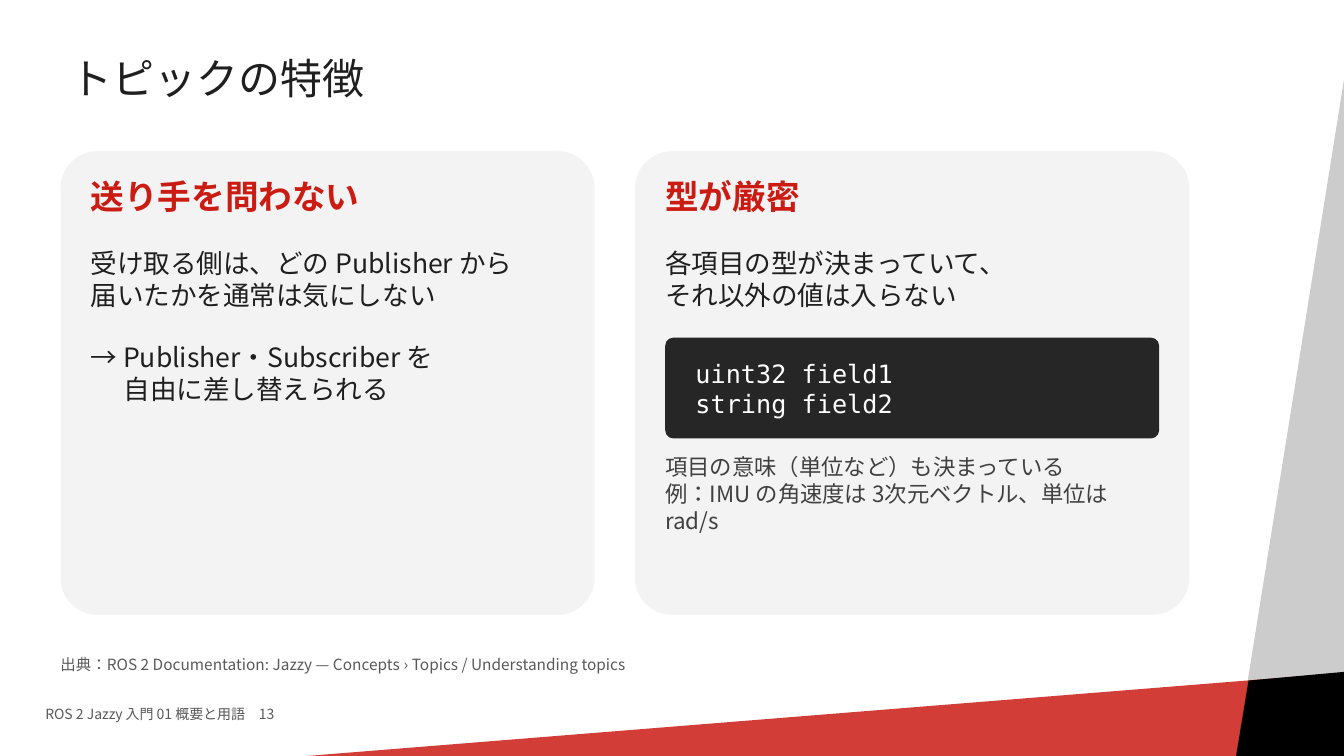
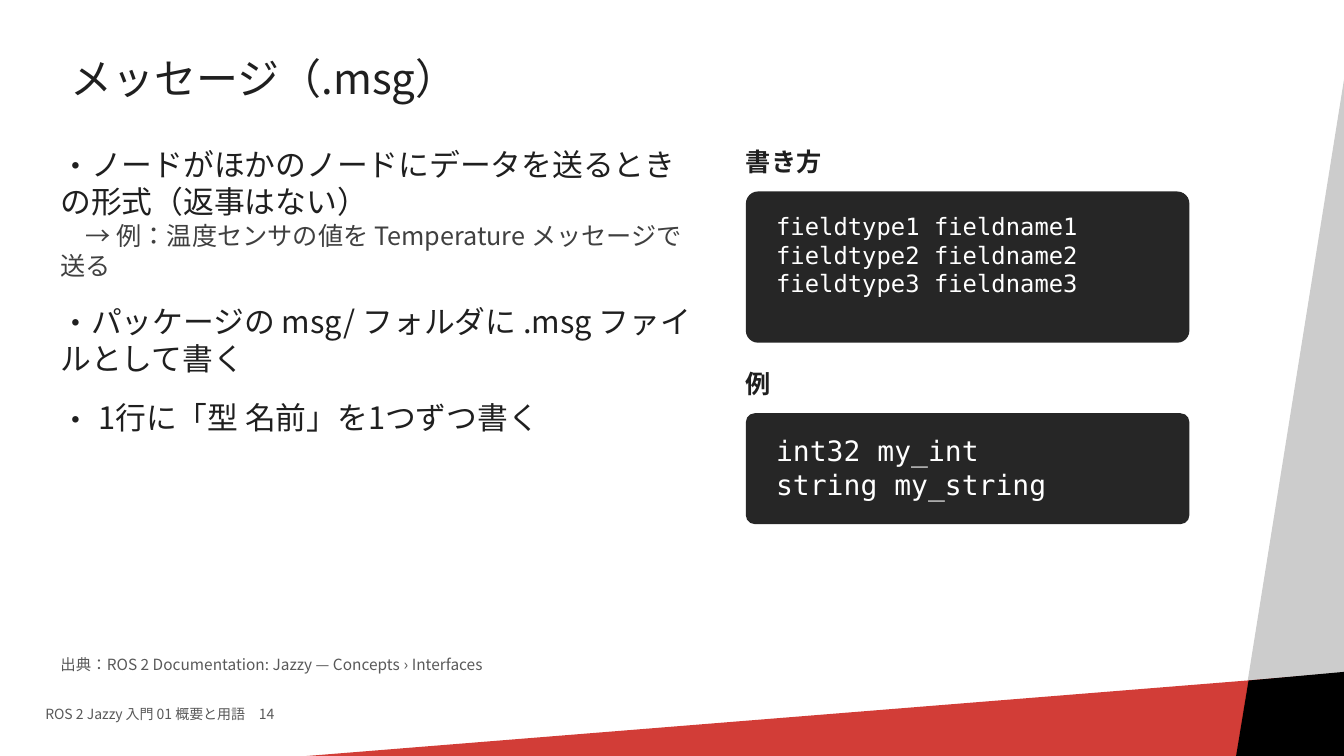
from lxml.etree import SubElement
from pptx import Presentation
from pptx.dml.color import RGBColor
from pptx.enum.shapes import MSO_SHAPE
from pptx.enum.text import MSO_ANCHOR, MSO_AUTO_SIZE, PP_ALIGN
from pptx.oxml.ns import qn
from pptx.util import Pt

SANS = "Noto Sans CJK JP"
MONO = "DejaVu Sans Mono"
RED = RGBColor(0xCB, 0x1C, 0x14)
INK = RGBColor(0x1F, 0x1F, 0x1F)
NOTE = RGBColor(0x40, 0x40, 0x40)
MUTED = RGBColor(0x59, 0x59, 0x59)
PANEL = RGBColor(0xF3, 0xF3, 0xF3)
CODE = RGBColor(0x26, 0x26, 0x26)
GRAY = RGBColor(0xCC, 0xCC, 0xCC)
BLACK = RGBColor(0, 0, 0)
WHITE = RGBColor(0xFF, 0xFF, 0xFF)

# Content
FOOTER = "ROS 2 Jazzy 入門 01 概要と用語"
SOURCE = "出典：ROS 2 Documentation: Jazzy — Concepts › "

FEATURES = {
    "title": "トピックの特徴",
    "source": "Topics / Understanding topics",
    "number": 13,
}
SENDER_CARD = {
    "heading": "送り手を問わない",
    "lines": [
        {"text": "受け取る側は、どの Publisher から"},
        {"text": "届いたかを通常は気にしない"},
        {"text": "→ Publisher・Subscriber を", "before": 21.5},
        {"text": "自由に差し替えられる", "margin": 23.5},
    ],
}
TYPE_CARD = {
    "heading": "型が厳密",
    "lines": [{"text": "各項目の型が決まっていて、"},
              {"text": "それ以外の値は入らない"}],
}
TYPE_CODE = ["uint32 field1", "string field2"]
TYPE_NOTES = [
    {"text": "項目の意味（単位など）も決まっている"},
    {"text": "例：IMU の角速度は 3次元ベクトル、単位は rad/s"},
]

MESSAGE = {
    "title": "メッセージ（.msg）",
    "source": "Interfaces",
    "number": 14,
}
MESSAGE_POINTS = [
    {"text": "ノードがほかのノードにデータを送るときの形式（返事はない）", "bullet": "・"},
    {"text": "→ 例：温度センサの値を Temperature メッセージで送る",
     "size": 18, "color": NOTE, "indent": 18},
    {"text": "パッケージの msg/ フォルダに .msg ファイルとして書く",
     "bullet": "・", "before": 16},
    {"text": "1行に「型 名前」を1つずつ書く", "bullet": "・", "before": 16,
     "margin": 27, "indent": -27},
]
MESSAGE_CODE = [  # label, lines, text size, block height
    ("書き方", ["fieldtype1 fieldname1", "fieldtype2 fieldname2",
             "fieldtype3 fieldname3"], 17, 108),
    ("例", ["int32 my_int", "string my_string"], 20, 79.2),
]

# Corner bands: preset, colour, opacity in percent, area, rotation
BANDS = [
    (MSO_SHAPE.RECTANGLE, GRAY, 100, (452.9, 451.4, 984.2, 113), 279.1),
    (MSO_SHAPE.RECTANGLE, RED, 85, (42.5, 514.8, 984.2, 82.8), 355.4),
    (MSO_SHAPE.PARALLELOGRAM, BLACK, 100, (873.4, 481.7, 138.2, 85), 354.8),
]

# Layout, in points
WIDTH, HEIGHT = 960, 540
LEFT = 43.2
PAD = 21.6
CARD_TOP, CARD_HEIGHT = 108, 331.2
TYPE_LEFT = 453.6
CODE_LEFT, CODE_WIDTH = 532.8, 316.8


def place(shape, left, top, width, height):
    shape.left, shape.top = Pt(left), Pt(top)
    shape.width, shape.height = Pt(width), Pt(height)


def add_span(para, text, size, color, font=SANS, bold=False):
    span = para.add_run()
    span.text = text
    span.font.size = Pt(size)
    span.font.bold = bold
    span.font.color.rgb = color
    span.font.name = font
    props = span.font._element
    props.set("lang", "ja-JP")
    SubElement(props, qn("a:ea")).set("typeface", font)


def set_bullet(para, bullet):
    props = para._p.get_or_add_pPr()
    if bullet:
        SubElement(props, qn("a:buFont")).set("typeface", SANS)
        SubElement(props, qn("a:buChar")).set("char", bullet)
    else:
        SubElement(props, qn("a:buNone"))


def fill_frame(frame, lines, size, color, font=SANS, bold=False):
    frame.word_wrap = True
    frame.auto_size = MSO_AUTO_SIZE.NONE
    frame.vertical_anchor = MSO_ANCHOR.TOP
    frame.margin_left = frame.margin_right = 0
    frame.margin_top = frame.margin_bottom = 0
    for index, line in enumerate(lines):
        para = frame.add_paragraph() if index else frame.paragraphs[0]
        props = para._p.get_or_add_pPr()
        props.set("marL", str(Pt(line.get("margin", 0))))
        props.set("indent", str(Pt(line.get("indent", 0))))
        set_bullet(para, line.get("bullet"))
        para.alignment = PP_ALIGN.LEFT
        para.space_before = Pt(line.get("before", 0))
        add_span(para, line["text"], line.get("size", size),
                 line.get("color", color), font, bold)


def add_text(page, area, lines, size, color, font=SANS, bold=False):
    box = page.shapes.add_textbox(*map(Pt, area))
    fill_frame(box.text_frame, lines, size, color, font, bold)


def add_filled(page, preset, area, color):
    shape = page.shapes.add_shape(preset, *map(Pt, area))
    shape.shadow.inherit = False
    shape.fill.solid()
    shape.fill.fore_color.rgb = color
    shape.line.fill.background()
    return shape


def add_panel(page, area, color):
    panel = add_filled(page, MSO_SHAPE.ROUNDED_RECTANGLE, area, color)
    panel.adjustments[0] = 0.08


def add_code(page, area, lines, size):
    left, top, width, height = area
    add_panel(page, area, CODE)
    inner = (left + PAD, top + 14.4, width - 2 * PAD, height - 28.8)
    add_text(page, inner, [{"text": line} for line in lines], size, WHITE, MONO)


def add_card(page, card, left, width, body_height):
    add_panel(page, (left, CARD_TOP, width, CARD_HEIGHT), PANEL)
    inner_left, inner_width = left + PAD, width - 2 * PAD
    add_text(page, (inner_left, CARD_TOP + 18, inner_width, 43.2),
             [{"text": card["heading"]}], 24, RED, bold=True)
    add_text(page, (inner_left, CARD_TOP + 68.4, inner_width, body_height),
             card["lines"], 19, INK)


def add_bands(deck, page):
    """Draw the corner bands, then hand them to the master."""
    for index, (preset, color, opacity, area, rotation) in enumerate(BANDS):
        band = add_filled(page, preset, area, color)
        band.name = f"Corner band {index + 1}"
        band.rotation = rotation
        if preset == MSO_SHAPE.PARALLELOGRAM:
            band.adjustments[0] = 0.26
        if opacity < 100:
            tint = band.element.spPr.find(qn("a:solidFill"))[0]
            SubElement(tint, qn("a:alpha")).set("val", str(opacity * 1000))
        band.element.xpath(".//p:cNvPr")[0].set("id", str(100 + index))
        deck.slide_master.shapes.element.insert(2 + index, band.element)


def add_page(deck, layout_name, info):
    page = deck.slides.add_slide(deck.slide_layouts.get_by_name(layout_name))
    # Title
    title = page.shapes.title
    place(title, LEFT, 25.2, 748.8, 64.8)
    frame = title.text_frame
    frame.auto_size = MSO_AUTO_SIZE.NONE
    frame.vertical_anchor = MSO_ANCHOR.MIDDLE
    para = frame.paragraphs[0]
    para.alignment = PP_ALIGN.LEFT
    para.line_spacing = 0.9
    add_span(para, info["title"], 30, INK)
    # Footer with a full-width space before the number, and the source line
    add_text(page, (32.4, 504, 324, 21.6),
             [{"text": f"{FOOTER}　{info['number']}"}], 10, MUTED)
    add_text(page, (LEFT, 468, 684, 21.6),
             [{"text": SOURCE + info["source"]}], 11, MUTED)
    return page


def build_features(deck):
    page = add_page(deck, "Title Only", FEATURES)
    add_bands(deck, page)
    add_card(page, SENDER_CARD, LEFT, 381.6, 252)
    add_card(page, TYPE_CARD, TYPE_LEFT, 396, 57.6)
    inner_left, inner_width = TYPE_LEFT + PAD, 396 - 2 * PAD
    add_code(page, (inner_left, 241.2, inner_width, 72), TYPE_CODE, 18)
    add_text(page, (inner_left, 324, inner_width, 100.8), TYPE_NOTES, 16, NOTE)


def build_message(deck):
    page = add_page(deck, "Title and Content", MESSAGE)
    body = page.placeholders[1]
    place(body, LEFT, 104.4, 460.8, 352.8)
    fill_frame(body.text_frame, MESSAGE_POINTS, 22, INK)
    # Labelled code blocks, stacked
    top = 104.4
    for label, lines, size, height in MESSAGE_CODE:
        add_text(page, (CODE_LEFT, top, CODE_WIDTH, 28.8),
                 [{"text": label}], 18, INK, bold=True)
        add_code(page, (CODE_LEFT, top + 32.4, CODE_WIDTH, height), lines, size)
        top += 32.4 + height + 18


def main():
    deck = Presentation()
    deck.slide_width, deck.slide_height = Pt(WIDTH), Pt(HEIGHT)
    build_features(deck)
    build_message(deck)
    deck.save("out.pptx")


if __name__ == "__main__":
    main()
